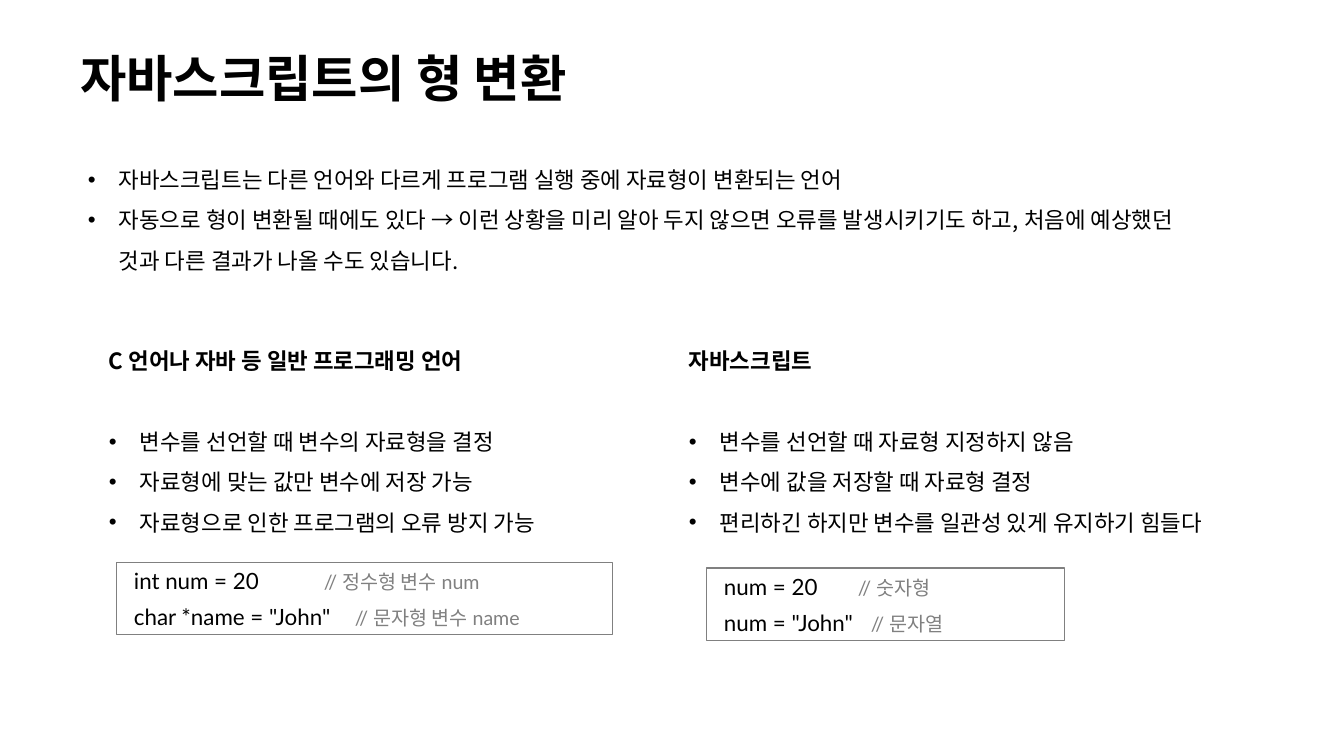
from lxml.etree import SubElement
from pptx import Presentation
from pptx.dml.color import RGBColor
from pptx.enum.shapes import MSO_SHAPE
from pptx.enum.text import MSO_ANCHOR, PP_ALIGN
from pptx.oxml.ns import qn
from pptx.util import Emu, Pt

KOREAN, LATIN = "Noto Sans CJK KR", "Lato"
BLACK, GRAY = "000000", "808080"
INDENT = 31

TITLE = "자바스크립트의 형 변환"
INTRO = [
    "자바스크립트는 다른 언어와 다르게 프로그램 실행 중에 자료형이 변환되는 언어",
    "자동으로 형이 변환될 때에도 있다 → 이런 상황을 미리 알아 두지 않으면 오류를 발생시키기도 하고, "
    "처음에 예상했던 것과 다른 결과가 나올 수도 있습니다.",
]
COLUMNS = [
    {
        "heading": "C 언어나 자바 등 일반 프로그래밍 언어",
        "points": [
            "변수를 선언할 때 변수의 자료형을 결정",
            "자료형에 맞는 값만 변수에 저장 가능",
            "자료형으로 인한 프로그램의 오류 방지 가능",
        ],
        "box": (99, 329, 532, 209),
        "code": [
            ("int num = 20", 190, "// 정수형 변수 num"),
            ('char *name = "John"', 221, "// 문자형 변수 name"),
        ],
        "code_box": (117, 562, 496, 73),
    },
    {
        "heading": "자바스크립트",
        "points": [
            "변수를 선언할 때 자료형 지정하지 않음",
            "변수에 값을 저장할 때 자료형 결정",
            "편리하긴 하지만 변수를 일관성 있게 유지하기 힘들다",
        ],
        "box": (679, 329, 632, 209),
        "code": [
            ("num = 20", 134, "// 숫자형"),
            ('num = "John"', 147, "// 문자열"),
        ],
        "code_box": (707, 568, 358, 73),
    },
]


def px(n):
    return Emu(round(n * 9144000 / 1008))


def color(value):
    return RGBColor.from_string(value)


def add_run(p, text, size=16, font=KOREAN, fill=BLACK, bold=False):
    r = p.add_run()
    r.text = text
    r.font.size = Pt(size)
    r.font.name = font
    r.font.bold = bold
    r.font.color.rgb = color(fill)
    SubElement(r._r.get_or_add_rPr(), qn("a:ea"), typeface=KOREAN)


def next_paragraph(tf):
    return tf.paragraphs[0] if not tf.paragraphs[0].runs else tf.add_paragraph()


def add_bullets(tf, items):
    for item in items:
        p = next_paragraph(tf)
        p.line_spacing = 1.5
        pPr = p._p.get_or_add_pPr()
        pPr.set("marL", str(px(INDENT)))
        pPr.set("indent", str(-px(INDENT)))
        SubElement(pPr, qn("a:buFont"), typeface="Arial")
        SubElement(pPr, qn("a:buChar"), char="•")
        add_run(p, item)


def add_text_frame(s, box):
    tf = s.shapes.add_textbox(*map(px, box)).text_frame
    tf.word_wrap = True
    return tf


def add_code(s, lines, box):
    sp = s.shapes.add_shape(MSO_SHAPE.RECTANGLE, *map(px, box))
    sp.shadow.inherit = False
    sp.fill.background()
    sp.line.color.rgb = color(GRAY)
    sp.line.width = Pt(0.75)
    tf = sp.text_frame
    tf.word_wrap = True
    tf.vertical_anchor = MSO_ANCHOR.MIDDLE
    tf.margin_left = px(17)
    for code, tab, comment in lines:
        p = next_paragraph(tf)
        p.alignment = PP_ALIGN.LEFT
        p.space_before = p.space_after = Pt(3)
        tabs = SubElement(p._p.get_or_add_pPr(), qn("a:tabLst"))
        SubElement(tabs, qn("a:tab"), pos=str(px(tab)), algn="l")
        add_run(p, code + "\t", font=LATIN)
        add_run(p, comment, size=14, font=LATIN, fill=GRAY)


def main():
    """Build the slide on type conversion and save it."""
    prs = Presentation()
    prs.slide_width, prs.slide_height = px(1344), px(756)
    s = prs.slides.add_slide(prs.slide_layouts[5])

    title = s.shapes.title
    title.left, title.top, title.width, title.height = map(px, (70, 35, 982, 93))
    title.text_frame.vertical_anchor = MSO_ANCHOR.MIDDLE
    p = title.text_frame.paragraphs[0]
    p.alignment = PP_ALIGN.LEFT
    p.line_spacing = 0.9
    add_run(p, TITLE, size=36, bold=True)

    add_bullets(add_text_frame(s, (78, 148, 1113, 127)), INTRO)
    for column in COLUMNS:
        tf = add_text_frame(s, column["box"])
        p = tf.paragraphs[0]
        p.line_spacing = 1.5
        p.space_after = Pt(29)
        add_run(p, column["heading"], bold=True)
        add_bullets(tf, column["points"])
        add_code(s, column["code"], column["code_box"])

    prs.save("out.pptx")


if __name__ == "__main__":
    main()
